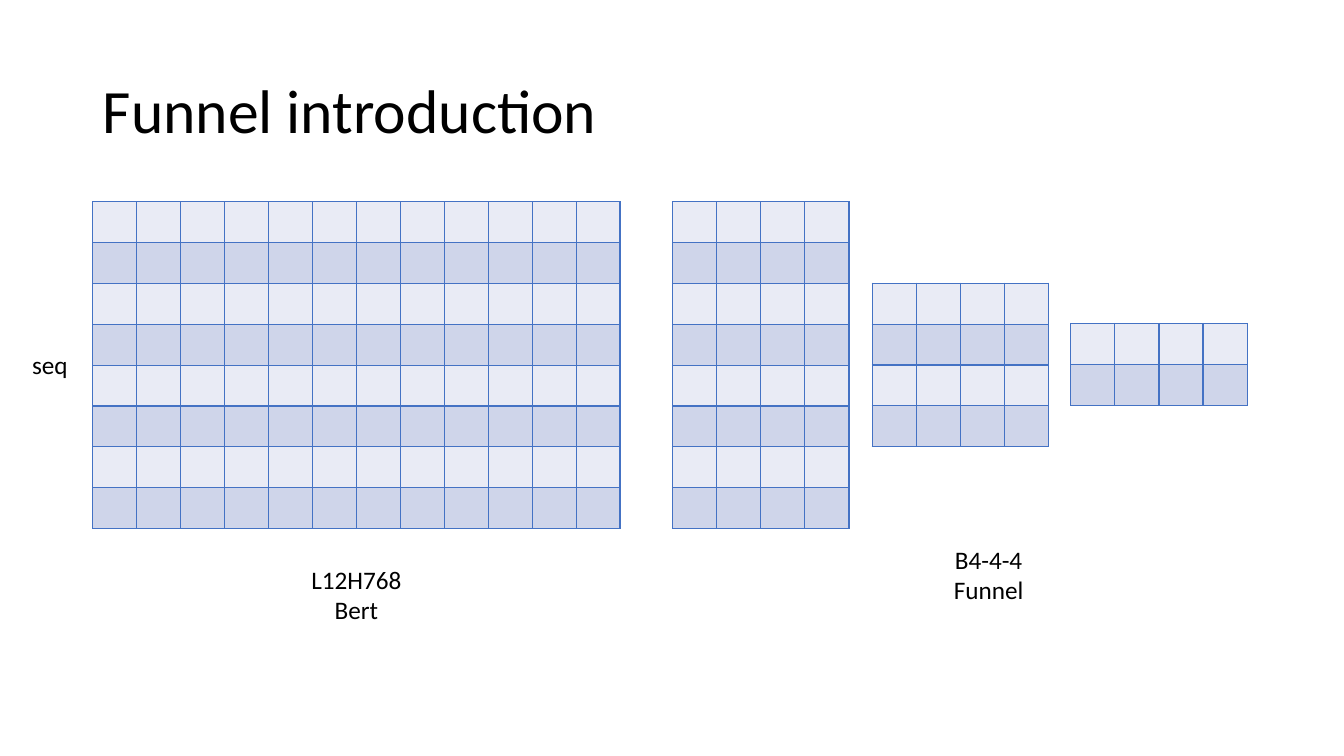
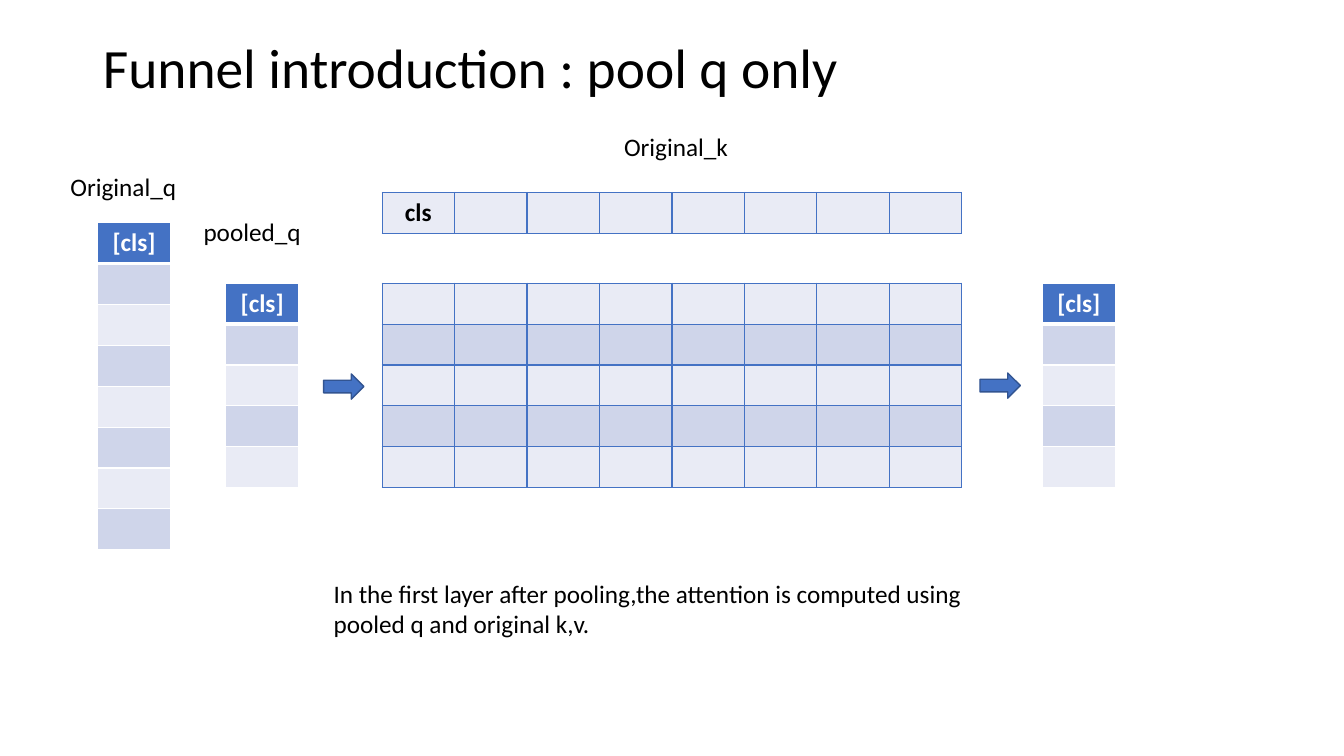
from dataclasses import dataclass
from typing import Optional

from lxml.etree import SubElement
from pptx import Presentation
from pptx.dml.color import RGBColor
from pptx.enum.shapes import MSO_SHAPE
from pptx.enum.text import MSO_ANCHOR, MSO_AUTO_SIZE, PP_ALIGN
from pptx.oxml.ns import qn
from pptx.oxml.xmlchemy import OxmlElement
from pptx.slide import Slide
from pptx.table import _Cell
from pptx.text.text import TextFrame
from pptx.util import Inches, Pt


@dataclass(frozen=True)
class Theme:
    font: str = "Calibri"
    ink: str = "000000"
    paper: str = "FFFFFF"
    blue: str = "4472C4"
    edge: str = "325491"
    pale: str = "E9EBF5"
    deep: str = "CFD5EA"
    title: float = 44
    small: float = 39.6
    body: float = 18
    thin: float = 1
    thick: float = 3
    row: float = 3.24 / 8


THEME = Theme()


@dataclass(frozen=True)
class Grid:
    left: float
    top: float
    width: float
    rows: int
    cols: int
    label: str = ""
    head: bool = False


@dataclass(frozen=True)
class Label:
    text: str
    left: float
    top: float
    width: float
    height: float = 0.4
    align: PP_ALIGN = PP_ALIGN.LEFT


@dataclass(frozen=True)
class Arrow:
    left: float
    top: float


@dataclass(frozen=True)
class Page:
    title: str
    size: float
    height: float
    grids: tuple[Grid, ...]
    labels: tuple[Label, ...]
    arrows: tuple[Arrow, ...] = ()


def write(frame: TextFrame, text: str, *, size: float = THEME.body,
          color: str = THEME.ink, bold: bool = False,
          align: PP_ALIGN = PP_ALIGN.LEFT, lead: Optional[float] = None) -> None:
    frame.text = text
    for para in frame.paragraphs:
        para.alignment = align
        para.line_spacing = lead
        for run in para.runs:
            run.font.name = THEME.font
            run.font.size = Pt(size)
            run.font.bold = bold
            run.font.color.rgb = RGBColor.from_string(color)


def border(cell: _Cell, color: str, top: float, base: float) -> None:
    sides = (("L", THEME.thin), ("R", THEME.thin), ("T", top), ("B", base))
    props = cell._tc.get_or_add_tcPr()
    for spot, (side, width) in enumerate(sides):
        line = OxmlElement(f"a:ln{side}")
        line.set("w", str(Pt(width)))
        fill = SubElement(line, qn("a:solidFill"))
        SubElement(fill, qn("a:srgbClr")).set("val", color)
        props.insert(spot, line)


def draw_grid(slide: Slide, grid: Grid) -> None:
    table = slide.shapes.add_table(
        grid.rows, grid.cols, Inches(grid.left), Inches(grid.top),
        Inches(grid.width), Inches(grid.rows * THEME.row)).table
    table.first_row = grid.head
    table.horz_banding = False
    for row in range(grid.rows):
        for col in range(grid.cols):
            cell = table.cell(row, col)
            head = grid.head and row == 0
            band = THEME.deep if row % 2 else THEME.pale
            cell.fill.solid()
            cell.fill.fore_color.rgb = RGBColor.from_string(
                THEME.blue if head else band)
            border(cell, THEME.paper if grid.head else THEME.blue,
                   top=THEME.thick if grid.head and row == 1 else THEME.thin,
                   base=THEME.thick if head else THEME.thin)
    if grid.label:
        write(table.cell(0, 0).text_frame, grid.label, bold=True,
              color=THEME.paper if grid.head else THEME.ink,
              align=PP_ALIGN.CENTER)


def draw_label(slide: Slide, label: Label) -> None:
    frame = slide.shapes.add_textbox(
        Inches(label.left), Inches(label.top),
        Inches(label.width), Inches(label.height)).text_frame
    frame.word_wrap = True
    frame.auto_size = MSO_AUTO_SIZE.SHAPE_TO_FIT_TEXT
    write(frame, label.text, align=label.align)


def draw_arrow(slide: Slide, arrow: Arrow) -> None:
    shape = slide.shapes.add_shape(
        MSO_SHAPE.RIGHT_ARROW, Inches(arrow.left), Inches(arrow.top),
        Inches(0.4), Inches(0.25))
    shape.shadow.inherit = False
    shape.fill.solid()
    shape.fill.fore_color.rgb = RGBColor.from_string(THEME.blue)
    shape.line.color.rgb = RGBColor.from_string(THEME.edge)
    shape.line.width = Pt(THEME.thin)


def draw_title(slide: Slide, page: Page) -> None:
    title = slide.shapes.title
    title.left, title.top = Inches(0.92), Inches(0.4)
    title.width, title.height = Inches(11.5), Inches(page.height)
    frame = title.text_frame
    frame.auto_size = MSO_AUTO_SIZE.NONE
    frame.vertical_anchor = MSO_ANCHOR.MIDDLE
    write(frame, page.title, size=page.size, lead=0.9)


def draw_page(deck: Presentation, page: Page) -> None:
    slide = deck.slides.add_slide(deck.slide_layouts.get_by_name("Title Only"))
    draw_title(slide, page)
    for grid in page.grids:
        draw_grid(slide, grid)
    for label in page.labels:
        draw_label(slide, label)
    for arrow in page.arrows:
        draw_arrow(slide, arrow)


MID = PP_ALIGN.CENTER
PAGES = (
    Page(
        "Funnel introduction", THEME.title, 1.45,
        grids=(
            Grid(0.92, 2, 5.23, 8, 12),
            Grid(6.67, 2, 1.75, 8, 4),
            Grid(8.65, 2.81, 1.75, 4, 4),
            Grid(10.62, 3.21, 1.75, 2, 4),
        ),
        labels=(
            Label("L12H768\nBert", 1.58, 5.55, 3.91, 0.71, MID),
            Label("B4-4-4\nFunnel", 7.85, 5.35, 3.91, 0.71, MID),
            Label("seq", 0.22, 3.42, 0.69),
        ),
    ),
    Page(
        "Funnel introduction : pool q only", THEME.small, 0.59,
        grids=(
            Grid(3.79, 2.81, 5.75, 5, 8),
            Grid(0.97, 2.21, 0.72, 8, 1, "[cls]", True),
            Grid(2.24, 2.81, 0.72, 5, 1, "[cls]", True),
            Grid(3.79, 1.91, 5.75, 1, 8, "cls"),
            Grid(10.34, 2.81, 0.72, 5, 1, "[cls]", True),
        ),
        labels=(
            Label("Original_k", 5.86, 1.25, 1.69, align=MID),
            Label("Original_q", 0.6, 1.65, 1.29),
            Label("pooled_q", 1.92, 2.1, 1.29),
            Label("In the first layer after pooling,the attention is computed "
                  "using pooled q and original k,v.", 3.21, 5.69, 6.62, 0.71),
        ),
        arrows=(Arrow(3.21, 3.71), Arrow(9.72, 3.7)),
    ),
)


def main() -> None:
    deck = Presentation()
    deck.slide_width, deck.slide_height = Inches(13.33), Inches(7.5)
    for page in PAGES:
        draw_page(deck, page)
    deck.save("out.pptx")


main()
